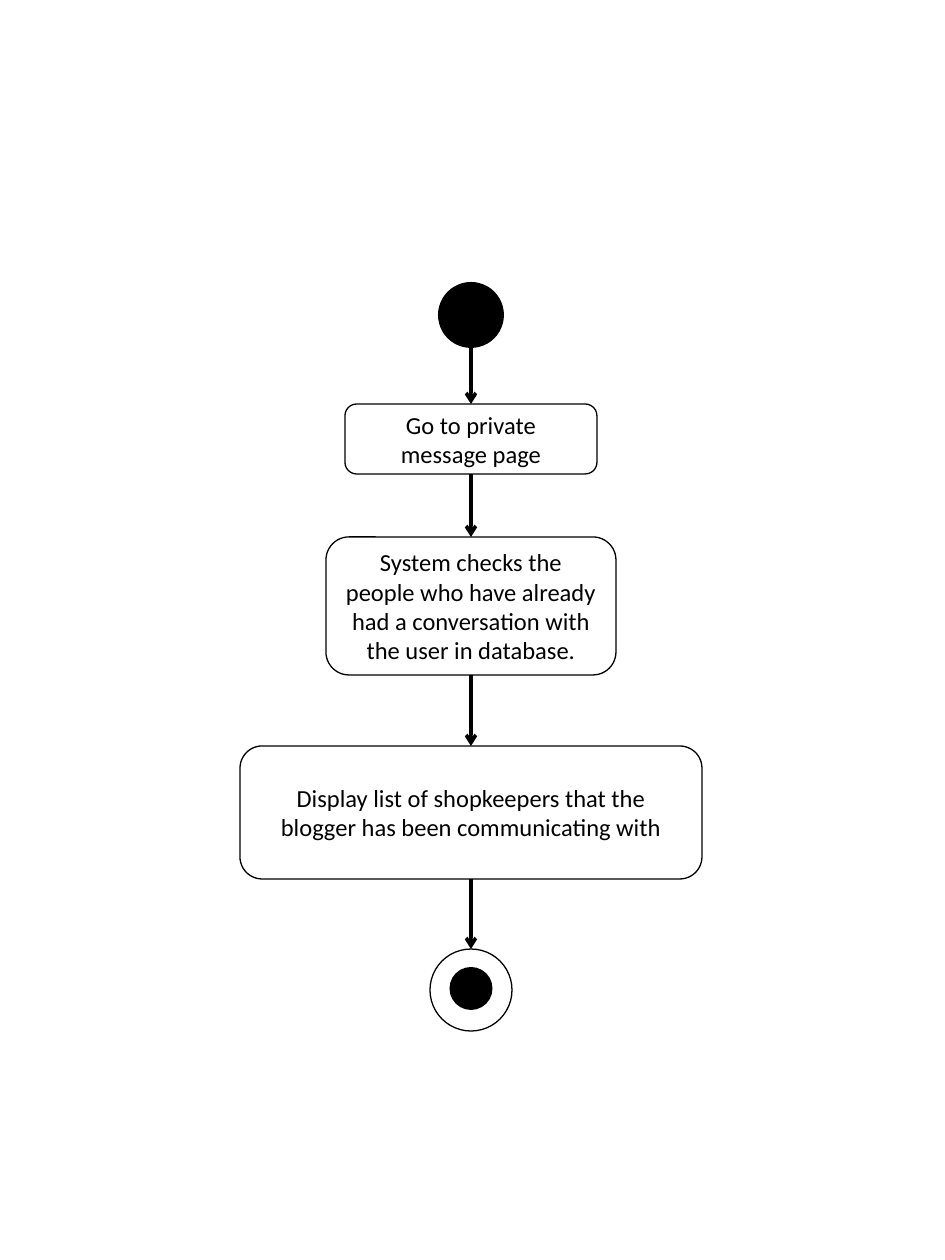
from itertools import pairwise
from pptx import Presentation
from pptx.dml.color import RGBColor
from pptx.enum.shapes import MSO_CONNECTOR, MSO_SHAPE
from pptx.enum.text import MSO_ANCHOR, PP_ALIGN
from pptx.oxml.ns import qn
from pptx.util import Emu, Pt
from lxml.etree import SubElement

BLACK = RGBColor(0, 0, 0)
WHITE = RGBColor(255, 255, 255)
MID = 471
STEPS = [
    (404, 252, 70, "Go to private message page"),
    (537, 290, 138, "System checks the people who have already "
                    "had a conversation with the user in database."),
    (746, 462, 133, "Display list of shopkeepers that the "
                    "blogger has been communicating with"),
]
START = (282, 66)
END = (949, 82)
CORE = (967, 43)


def px(n):
    return Emu(round(n * 914400 / 126))


def add_node(slide, kind, top, width, height, fill):
    node = slide.shapes.add_shape(
        kind, px(MID - width / 2), px(top), px(width), px(height))
    node.shadow.inherit = False
    node.fill.solid()
    node.fill.fore_color.rgb = fill
    if fill == BLACK:
        node.line.fill.background()
    else:
        node.line.color.rgb = BLACK
        node.line.width = Pt(0.75)
    return node


def add_dot(slide, top, size, fill):
    add_node(slide, MSO_SHAPE.OVAL, top, size, size, fill)


def add_step(slide, top, width, height, text):
    node = add_node(slide, MSO_SHAPE.ROUNDED_RECTANGLE,
                    top, width, height, WHITE)
    frame = node.text_frame
    frame.text = text
    frame.word_wrap = True
    frame.vertical_anchor = MSO_ANCHOR.MIDDLE
    line = frame.paragraphs[0]
    line.alignment = PP_ALIGN.CENTER
    font = line.runs[0].font
    font.name = "Calibri"
    font.size = Pt(14)
    font.color.rgb = BLACK


def add_arrow(slide, top, end):
    arrow = slide.shapes.add_connector(
        MSO_CONNECTOR.STRAIGHT, px(MID), px(top), px(MID), px(end))
    arrow.line.color.rgb = BLACK
    arrow.line.width = Pt(2)
    SubElement(arrow.line._get_or_add_ln(), qn("a:tailEnd"), type="arrow")
    SubElement(arrow._element.spPr, qn("a:effectLst"))


def main():
    deck = Presentation()
    deck.slide_width, deck.slide_height = px(945), px(1260)
    slide = deck.slides.add_slide(deck.slide_layouts[6])
    add_dot(slide, *START, BLACK)
    for step in STEPS:
        add_step(slide, *step)
    add_dot(slide, *END, WHITE)
    add_dot(slide, *CORE, BLACK)
    spans = [START, *((top, tall) for top, _, tall, _ in STEPS), END]
    for (top, tall), (end, _) in pairwise(spans):
        add_arrow(slide, top + tall, end)
    deck.save("out.pptx")


if __name__ == "__main__":
    main()
